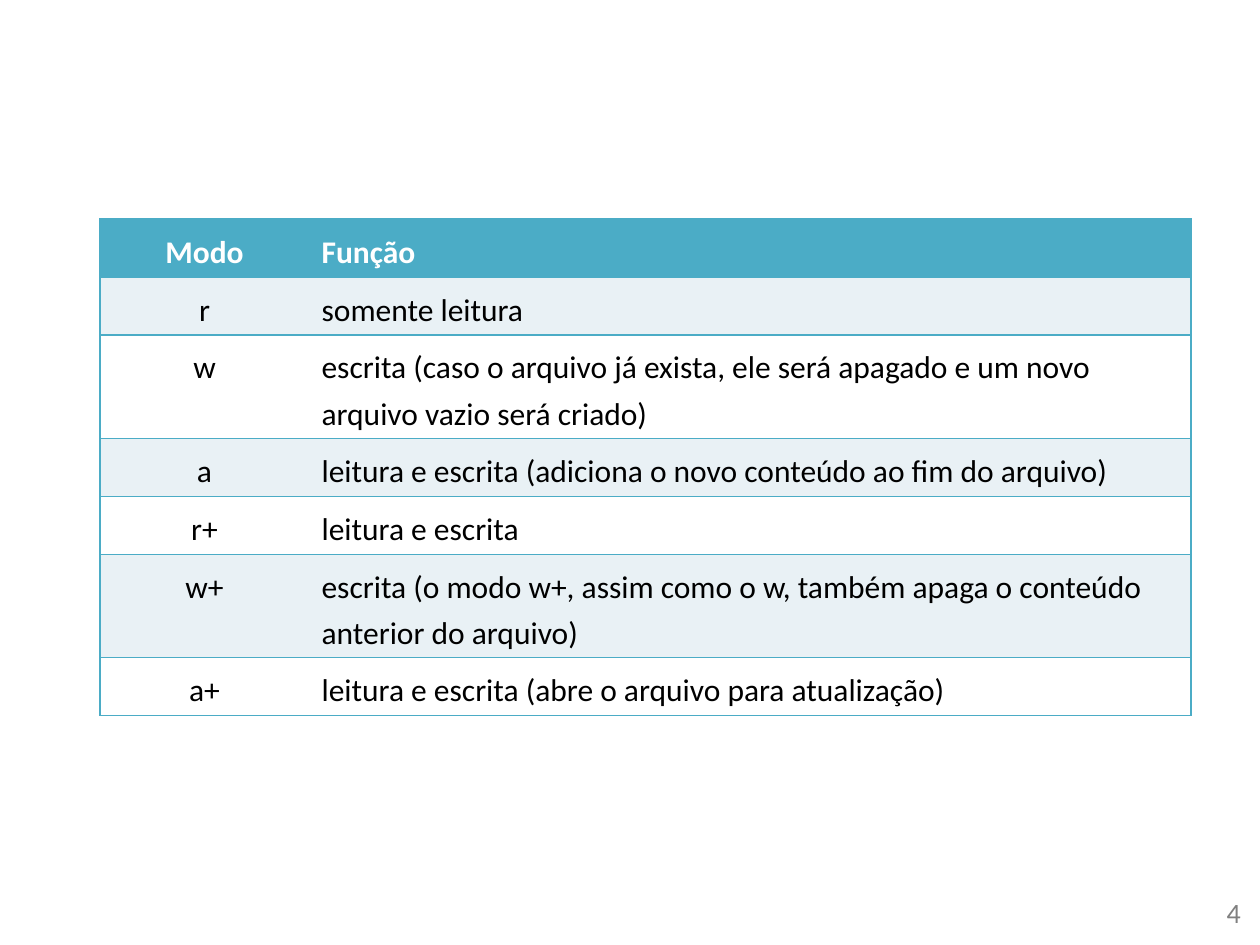
from dataclasses import dataclass

from lxml.etree import SubElement
from pptx import Presentation
from pptx.dml.color import RGBColor as RGB
from pptx.enum.text import MSO_ANCHOR as ANCHOR, PP_ALIGN as ALIGN
from pptx.oxml.ns import qn
from pptx.util import Emu, Pt


@dataclass(frozen=True)
class Theme:
    font: str = "Calibri"
    accent: str = "4BACC6"
    band: str = "E9F1F5"
    white: str = "FFFFFF"
    text: str = "000000"
    muted: str = "808080"
    table_size: int = 18
    number_size: int = 16
    border: int = 1


THEME = Theme()
EMU_PER_PX = 914400 // 126
COLUMNS = (209, 882)
ROW_HEIGHT = 52
MODES = (
    ("Modo", "Função"),
    ("r", "somente leitura"),
    ("w", "escrita (caso o arquivo já exista, ele será apagado e um novo arquivo vazio será criado)"),
    ("a", "leitura e escrita (adiciona o novo conteúdo ao fim do arquivo)"),
    ("r+", "leitura e escrita"),
    ("w+", "escrita (o modo w+, assim como o w, também apaga o conteúdo\nanterior do arquivo)"),
    ("a+", "leitura e escrita (abre o arquivo para atualização)"),
)


def px(n):
    return Emu(n * EMU_PER_PX)


def write(tf, text, size, color, align, bold=False, spacing=None):
    tf.text = text
    for p in tf.paragraphs:
        p.alignment = align
        p.line_spacing = spacing
        p.font.name = THEME.font
        p.font.size = Pt(size)
        p.font.bold = bold
        p.font.color.rgb = RGB.from_string(color)


def set_borders(cell, visible):
    tc_pr = cell._tc.get_or_add_tcPr()
    for side in "LRTB":
        ln = SubElement(tc_pr, qn(f"a:ln{side}"), w=str(Pt(THEME.border)))
        if side in visible:
            fill = SubElement(ln, qn("a:solidFill"))
            SubElement(fill, qn("a:srgbClr"), val=THEME.accent)
        else:
            SubElement(ln, qn("a:noFill"))


def add_mode_table(s, x, y):
    table = s.shapes.add_table(
        len(MODES), len(COLUMNS), px(x), px(y),
        px(sum(COLUMNS)), px(ROW_HEIGHT * len(MODES)),
    ).table
    for column, width in zip(table.columns, COLUMNS):
        column.width = px(width)
    for i, row in enumerate(MODES):
        header = i == 0
        fill = THEME.accent if header else THEME.band if i % 2 else THEME.white
        color = THEME.white if header else THEME.text
        for j, text in enumerate(row):
            cell = table.cell(i, j)
            set_borders(cell, "RTB" if j else "LTB")
            cell.fill.solid()
            cell.fill.fore_color.rgb = RGB.from_string(fill)
            align = ALIGN.LEFT if j else ALIGN.CENTER
            write(cell.text_frame, text, THEME.table_size, color, align, header, 1.2)


def add_page_number(s, number, x, y, w, h):
    tf = s.shapes.add_textbox(px(x), px(y), px(w), px(h)).text_frame
    tf.word_wrap = True
    tf.vertical_anchor = ANCHOR.MIDDLE
    write(tf, str(number), THEME.number_size, THEME.muted, ALIGN.RIGHT)


def main():
    prs = Presentation()
    prs.slide_width, prs.slide_height = px(1260), px(945)
    s = prs.slides.add_slide(prs.slide_layouts[6])
    add_page_number(s, 4, 959, 887, 294, 50)
    add_mode_table(s, 100, 219)
    prs.save("out.pptx")


if __name__ == "__main__":
    main()
